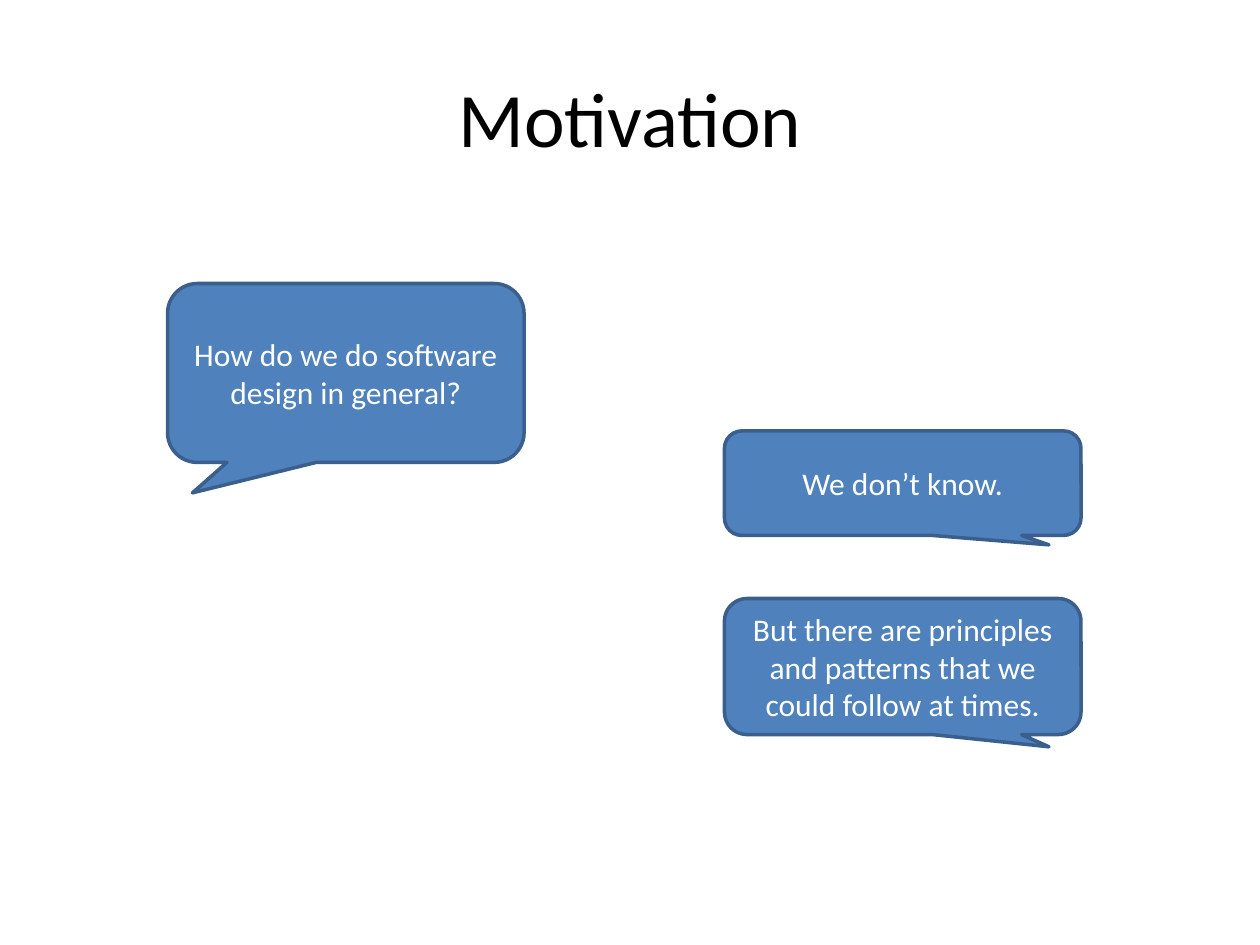
from pptx import Presentation
from pptx.dml.color import RGBColor
from pptx.enum.shapes import MSO_SHAPE as Shape
from pptx.enum.text import MSO_ANCHOR as Anchor, PP_ALIGN as Align
from pptx.util import Inches, Pt


def color(hex_string):
    return RGBColor.from_string(hex_string)


class SlideBuilder:
    font_name = "Calibri"
    title_color = "000000"
    bubble_fill = "4F81BD"
    bubble_line = "3A5F8C"
    bubble_text = "FFFFFF"

    def __init__(self, presentation):
        self.slide = presentation.slides.add_slide(presentation.slide_layouts[5])

    def set_text(self, shape, text, size, text_color):
        frame = shape.text_frame
        frame.word_wrap = True
        frame.vertical_anchor = Anchor.MIDDLE
        paragraph = frame.paragraphs[0]
        paragraph.text = text
        paragraph.alignment = Align.CENTER
        paragraph.font.name = self.font_name
        paragraph.font.size = Pt(size)
        paragraph.font.color.rgb = color(text_color)

    def title(self, text, left, top, width, height):
        title = self.slide.shapes.title
        title.left, title.top = Inches(left), Inches(top)
        title.width, title.height = Inches(width), Inches(height)
        self.set_text(title, text, 44, self.title_color)

    def bubble(self, text, left, top, height, tail, width=2.83):
        """Add a speech bubble; tail is its tip, as fractions from the centre."""
        bubble = self.slide.shapes.add_shape(
            Shape.ROUNDED_RECTANGULAR_CALLOUT,
            Inches(left), Inches(top), Inches(width), Inches(height))
        bubble.adjustments[0], bubble.adjustments[1] = tail
        bubble.shadow.inherit = False
        bubble.fill.solid()
        bubble.fill.fore_color.rgb = color(self.bubble_fill)
        bubble.line.color.rgb = color(self.bubble_line)
        bubble.line.width = Pt(2)
        self.set_text(bubble, text, 18, self.bubble_text)


def main():
    presentation = Presentation()
    presentation.slide_width = Inches(10)
    presentation.slide_height = Inches(7.5)

    builder = SlideBuilder(presentation)
    builder.title("Motivation", 0.5, 0.3, 9, 1.25)

    question_tail = (-0.43, 0.67)
    answer_tail = (0.41, 0.59)
    answer_left = 5.75
    builder.bubble("How do we do software design in general?",
                   1.33, 2.25, 1.42, question_tail)
    builder.bubble("We don’t know.", answer_left, 3.42, 0.83, answer_tail)
    builder.bubble("But there are principles and patterns that we could follow at times.",
                   answer_left, 4.75, 1.08, answer_tail)

    presentation.save("out.pptx")


if __name__ == "__main__":
    main()
